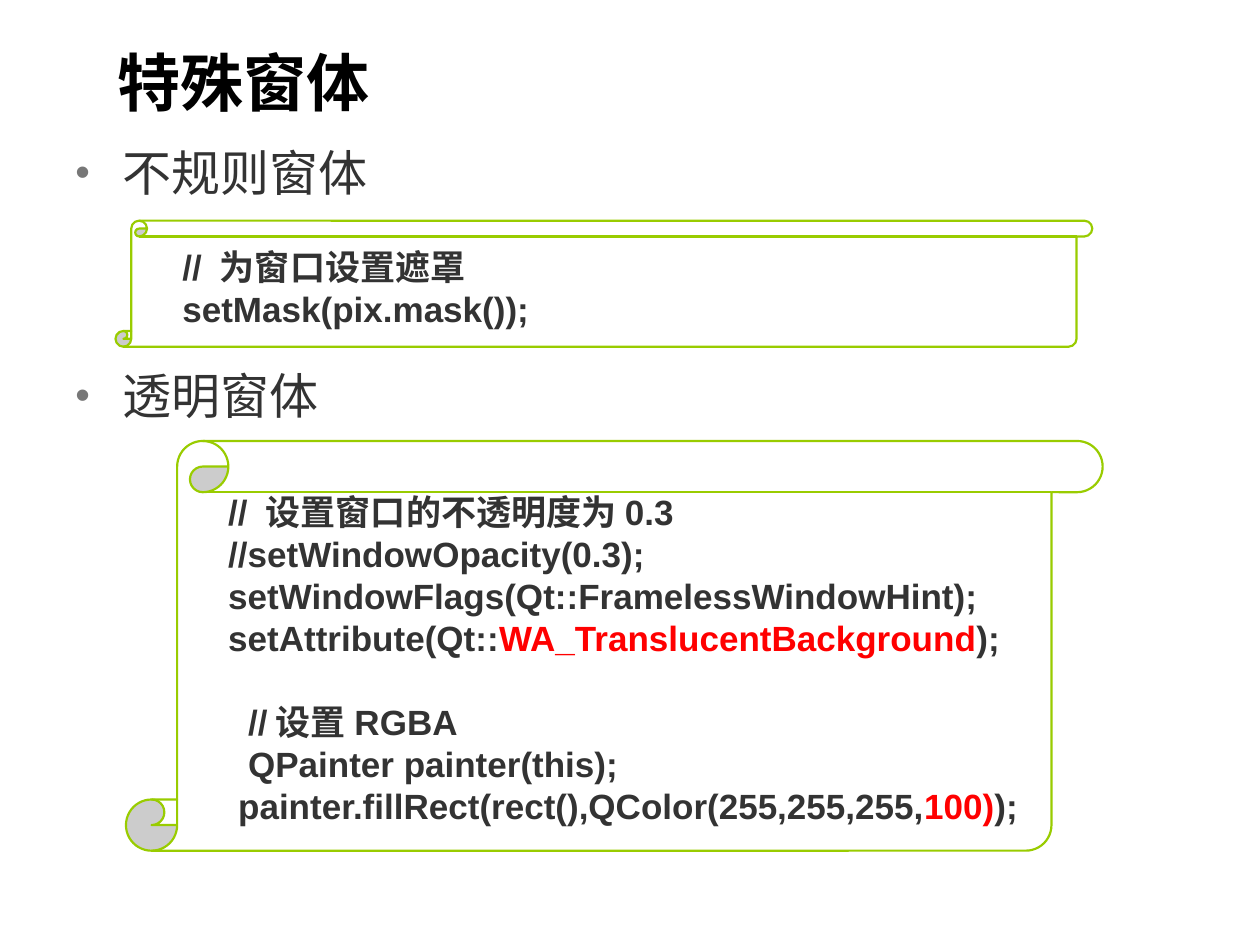
from lxml import etree
from pptx import Presentation
from pptx.dml.color import RGBColor
from pptx.enum.shapes import MSO_SHAPE
from pptx.enum.text import MSO_ANCHOR, PP_ALIGN
from pptx.oxml.ns import qn
from pptx.util import Cm, Pt

SCROLL = MSO_SHAPE.VERTICAL_SCROLL
MIDDLE = MSO_ANCHOR.MIDDLE
TOP = MSO_ANCHOR.TOP
LEFT = PP_ALIGN.LEFT

FONT = "Arial"
BLACK, DARK, GREY, RED = "000000", "333333", "777777", "FF0000"
WHITE, GREEN = "FFFFFF", "99CC00"
CODE_LINE = Pt(24)

MASK_CODE = [
    (0.78, 0, [("// 为窗口设置遮罩", DARK)]),
    (0.78, 0, [("setMask(pix.mask());", DARK)]),
]
OPACITY_CODE = [
    (0.78, 0, [("// 设置窗口的不透明度为0.3", DARK)]),
    (0.78, 0, [("//setWindowOpacity(0.3);", DARK)]),
    (0.78, 0, [("setWindowFlags(Qt::FramelessWindowHint);", DARK)]),
    (0.78, 0, [("setAttribute(Qt::", DARK), ("WA_TranslucentBackground", RED), (");", DARK)]),
    (1.18, 24, [("//设置RGBA", DARK)]),
    (1.18, 0, [("QPainter painter(this);", DARK)]),
    (0.98, 0, [("painter.fillRect(rect(),QColor(255,255,255,", DARK), ("100)", RED), (");", DARK)]),
]


def color(value):
    return RGBColor.from_string(value)


def style(paragraph, size, value, bold=False):
    font = paragraph.font
    font.name, font.size, font.bold = FONT, Pt(size), bold
    font.color.rgb = color(value)
    paragraph.alignment = LEFT


def indent(paragraph, left, first=0):
    properties = paragraph._p.get_or_add_pPr()
    properties.set("marL", str(Cm(left)))
    properties.set("indent", str(Cm(first)))
    return properties


def add_bullet(paragraph):
    properties = indent(paragraph, 0.95, -0.95)
    bullet_color = etree.SubElement(properties, qn("a:buClr"))
    etree.SubElement(bullet_color, qn("a:srgbClr"), val=GREY)
    etree.SubElement(properties, qn("a:buSzPct"), val="85000")
    etree.SubElement(properties, qn("a:buFont"), typeface=FONT)
    etree.SubElement(properties, qn("a:buChar"), char="•")


def add_text(slide, box, anchor):
    frame = slide.shapes.add_textbox(*map(Cm, box)).text_frame
    frame.word_wrap = True
    frame.vertical_anchor = anchor
    return frame


def next_paragraph(frame, index):
    return frame.add_paragraph() if index else frame.paragraphs[0]


def add_title(slide, text):
    paragraph = add_text(slide, (2.12, 0.64, 22.01, 1.98), MIDDLE).paragraphs[0]
    paragraph.text = text
    style(paragraph, 36, BLACK, True)


def add_bullets(slide, texts):
    frame = add_text(slide, (1.27, 2.75, 22.86, 13.97), TOP)
    for index, text in enumerate(texts):
        paragraph = next_paragraph(frame, index)
        paragraph.text = text
        style(paragraph, 28, DARK)
        add_bullet(paragraph)
        paragraph.space_before = Pt(94 if index else 0)


def add_code_scroll(slide, box, lines):
    shape = slide.shapes.add_shape(SCROLL, *map(Cm, box))
    shape.shadow.inherit = False
    shape.fill.solid()
    shape.fill.fore_color.rgb = color(WHITE)
    shape.line.color.rgb = color(GREEN)
    shape.line.width = Pt(1.25)
    frame = shape.text_frame
    frame.word_wrap = True
    frame.vertical_anchor = MIDDLE
    for index, (left, space, runs) in enumerate(lines):
        paragraph = next_paragraph(frame, index)
        style(paragraph, 20, DARK, True)
        indent(paragraph, left)
        paragraph.line_spacing = CODE_LINE
        paragraph.space_before = Pt(space)
        for text, value in runs:
            run = paragraph.add_run()
            run.text = text
            if value != DARK:
                run.font.color.rgb = color(value)


def main():
    presentation = Presentation()
    presentation.slide_width, presentation.slide_height = Cm(25.4), Cm(19.05)
    slide = presentation.slides.add_slide(presentation.slide_layouts[6])
    add_title(slide, "特殊窗体")
    add_bullets(slide, ["不规则窗体", "透明窗体"])
    add_code_scroll(slide, (2.33, 4.45, 19.69, 2.54), MASK_CODE)
    add_code_scroll(slide, (2.54, 8.89, 19.69, 8.26), OPACITY_CODE)
    presentation.save("out.pptx")


main()
